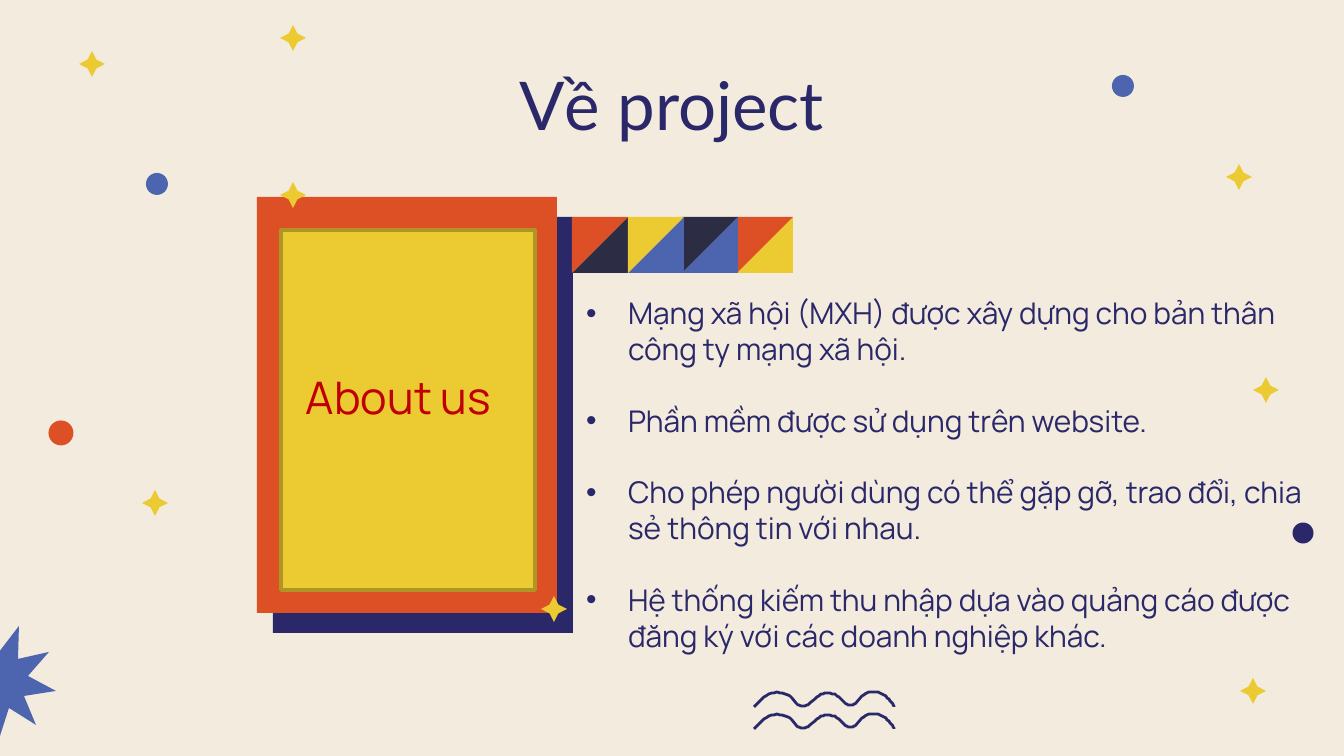
import math
from pptx import Presentation
from pptx.dml.color import RGBColor
from pptx.enum.shapes import MSO_SHAPE
from pptx.enum.text import PP_ALIGN
from pptx.util import Emu, Pt
from lxml import etree

RECT, OVAL, STAR = MSO_SHAPE.RECTANGLE, MSO_SHAPE.OVAL, MSO_SHAPE.STAR_4_POINT
NAVY, DARK, BLUE = "2A2869", "2C2D44", "4C65AE"
ORANGE, YELLOW, GOLD = "DD5025", "ECCA31", "AF9524"
CREAM, RED = "F3EBDE", "C00000"
PX = 914400 / 134.4
A = "{http://schemas.openxmlformats.org/drawingml/2006/main}"

prs = Presentation()
prs.slide_width, prs.slide_height = Emu(round(1344 * PX)), Emu(round(756 * PX))
s = prs.slides.add_slide(prs.slide_layouts[6])
s.background.fill.solid()
s.background.fill.fore_color.rgb = RGBColor.from_string(CREAM)


def paint(sp, fill=None, line=None, width=1):
    sp.shadow.inherit = False
    if fill:
        sp.fill.solid()
        sp.fill.fore_color.rgb = RGBColor.from_string(fill)
    else:
        sp.fill.background()
    if line:
        sp.line.color.rgb = RGBColor.from_string(line)
        sp.line.width = Pt(width)
    else:
        sp.line.fill.background()


def add_run(p, text, font, size, color):
    r = p.add_run()
    r.text = text
    r.font.name, r.font.size = font, Pt(size)
    r.font.color.rgb = RGBColor.from_string(color)


# Dots: centre, diameter, colour
for x, y, d, color in [(1123, 86, 22, BLUE), (157, 184, 22, BLUE),
                       (61, 433, 25, ORANGE), (1303, 533, 21, NAVY)]:
    sp = s.shapes.add_shape(OVAL, *[Emu(round(v * PX)) for v in (x - d / 2, y - d / 2, d, d)])
    paint(sp, color)

# Nine-pointed burst at the left edge
points = []
for i in range(18):
    radius = 29 if i % 2 else 58
    angle = math.pi / 2 + i * math.pi / 9
    points.append((-1 + radius * math.cos(angle), 681 + radius * math.sin(angle)))
fb = s.shapes.build_freeform(*points[0], scale=PX)
fb.add_line_segments(points[1:], close=True)
paint(fb.convert_to_shape(), BLUE)

# Two wavy lines, each a chain of cubic curves joined by straight pieces
wave = [[(762, 699), (770, 691), (784, 690), (792, 698)],
        [(796, 703), (800, 707), (806, 707), (810, 703)],
        [(815, 699), (821, 691), (834, 691), (841, 699)],
        [(845, 703), (848, 706), (853, 706), (856, 703)],
        [(862, 696), (868, 690), (879, 690), (886, 696)],
        [(886, 696), (892, 703), (895, 707), (894, 707)]]
for dy in (0, 22):
    points = []
    for curve in wave:
        for i in range(13):
            t = i / 12
            weights = ((1 - t) ** 3, 3 * t * (1 - t) ** 2, 3 * t * t * (1 - t), t ** 3)
            x, y = [sum(w * c[k] for w, c in zip(weights, curve)) for k in (0, 1)]
            points.append((x, y + dy))
    fb = s.shapes.build_freeform(754, 707 + dy, scale=PX)
    fb.add_line_segments(points, close=False)
    paint(fb.convert_to_shape(), None, NAVY, 1.5)

# Framed card with its offset back panel
for x, y, w, h, fill, line in [(273, 217, 300, 416, NAVY, None),
                               (257, 197, 300, 416, ORANGE, None),
                               (281, 230, 254, 360, YELLOW, GOLD)]:
    sp = s.shapes.add_shape(RECT, *[Emu(round(v * PX)) for v in (x, y, w, h)])
    paint(sp, fill, line, 2)

# Strip of squares split along the diagonal: left, upper and lower colours
top, side = 217, 56
for x, upper, lower in [(572, ORANGE, DARK), (737, ORANGE, YELLOW),
                        (682, DARK, BLUE), (628, YELLOW, BLUE)]:
    for corner, color in [((x + side, top + side), lower), ((x, top), upper)]:
        fb = s.shapes.build_freeform(x, top + side, scale=PX)
        fb.add_line_segments([(x + side, top), corner], close=True)
        paint(fb.convert_to_shape(), color)

# Sparkles, by centre
for x, y in [(92, 64), (293, 38), (1239, 177), (1266, 390), (1253, 691),
             (155, 503), (293, 195), (554, 609)]:
    sp = s.shapes.add_shape(STAR, *[Emu(round(v * PX)) for v in (x - 13, y - 13, 26, 26)])
    sp.adjustments[0] = 0.24
    paint(sp, YELLOW)

# Text boxes: title, card label, bullet list
boxes = []
for x, y, w, h, inset in [(106, 50, 1132, 138, 13), (293, 363, 230, 67, 7),
                          (573, 282, 771, 262, 13)]:
    tf = s.shapes.add_textbox(*[Emu(round(v * PX)) for v in (x, y, w, h)]).text_frame
    tf.word_wrap = True
    tf.margin_left = tf.margin_right = Emu(round(13 * PX))
    tf.margin_top = tf.margin_bottom = Emu(round(inset * PX))
    boxes.append(tf)
title, label, body = boxes

title.paragraphs[0].alignment = PP_ALIGN.CENTER
add_run(title.paragraphs[0], "Về project", "Lato", 36, NAVY)
add_run(label.paragraphs[0], "About us", "Manrope", 24, RED)

items = ["Mạng xã hội (MXH) được xây dựng cho bản thân công ty mạng xã hội.",
         "Phần mềm được sử dụng trên website.",
         "Cho phép người dùng có thể gặp gỡ, trao đổi, chia sẻ thông tin với nhau.",
         "Hệ thống kiếm thu nhập dựa vào quảng cáo được đăng ký với các doanh nghiệp khác."]
indent = round(42 * PX)
for i, item in enumerate(items):
    p = body.add_paragraph() if i else body.paragraphs[0]
    if i:
        p.space_before = Pt(19.2)
    pPr = p._p.get_or_add_pPr()
    pPr.set("marL", str(indent))
    pPr.set("indent", str(-indent))
    etree.SubElement(etree.SubElement(pPr, A + "buClr"), A + "srgbClr", val=NAVY)
    etree.SubElement(pPr, A + "buFont", typeface="Arial")
    etree.SubElement(pPr, A + "buChar", char="•")
    add_run(p, item, "Manrope", 16, NAVY)

prs.save("out.pptx")
